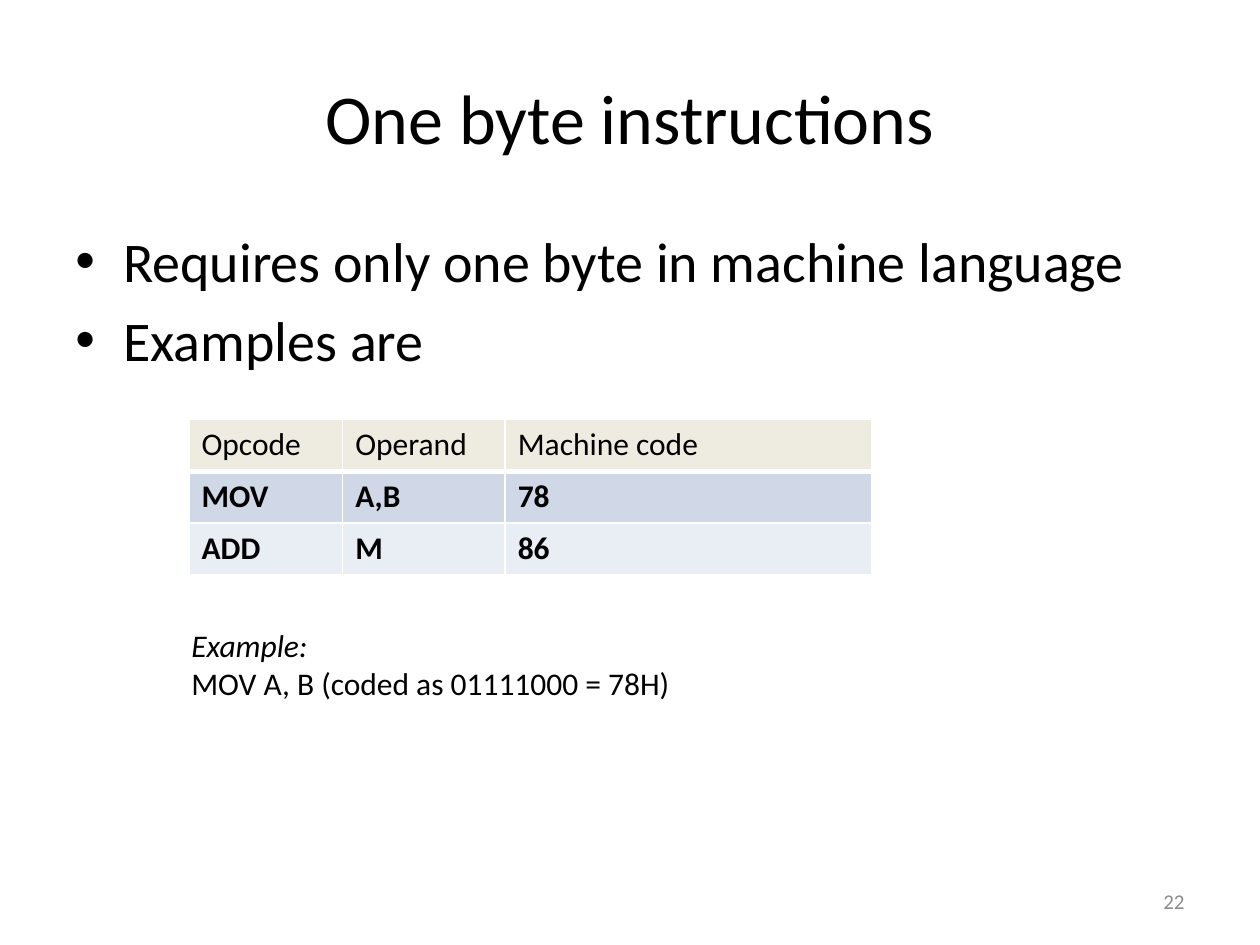
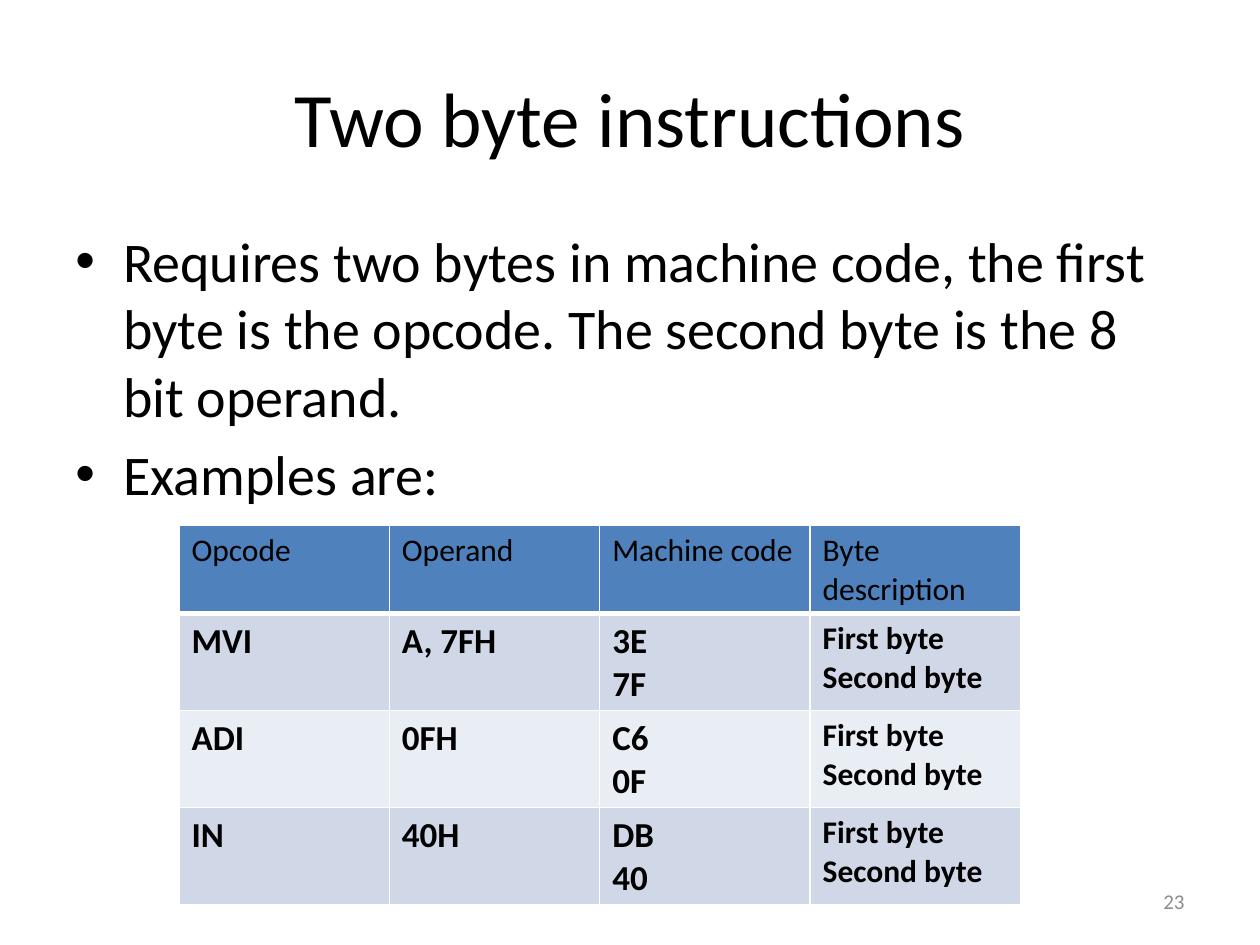
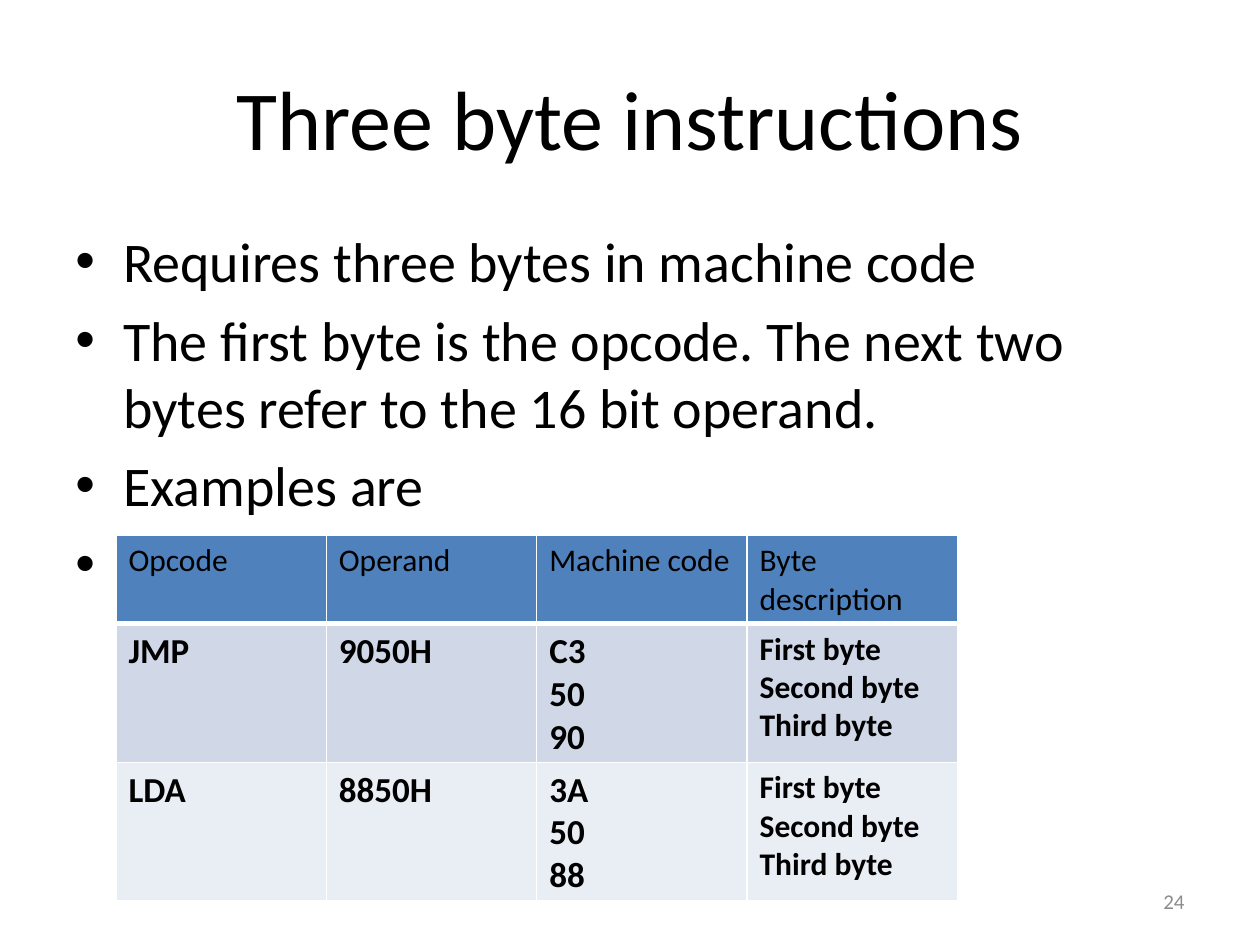
import pptx
import pptx.util
import pptx.dml.color
import pptx.enum.text
import pptx.oxml.ns
from lxml import etree

Inches = pptx.util.Inches
Pt = pptx.util.Pt
Align = pptx.enum.text.PP_ALIGN
Anchor = pptx.enum.text.MSO_ANCHOR

# Content
HEAD = ["Opcode", "Operand", "Machine code", "Byte description"]
BYTES = ["First byte", "Second byte", "Third byte"]

SLIDES = [
    {
        "title": "One byte instructions", "size": 40,
        "points": ["Requires only one byte in machine language", "Examples are"],
        "head": HEAD[:3], "shade": "sand",
        "rows": [["MOV", "A,B", "78"], ["ADD", "M", "86"]],
        "at": (1.5, 3.33), "cols": [1.22, 1.29, 2.91], "tall": (0.41, 0.41),
        "sizes": ["small"] * 3,
        "note": ["Example:", "MOV A, B (coded as 01111000 = 78H)"],
    },
    {
        "title": "Two byte instructions", "size": 44,
        "points": ["Requires two bytes in machine code, the first byte is the opcode. "
                   "The second byte is the 8 bit operand.", "Examples are:"],
        "head": HEAD, "shade": "blue",
        "rows": [["MVI", "A, 7FH", ["3E", "7F"], BYTES[:2]],
                 ["ADI", "0FH", ["C6", "0F"], BYTES[:2]],
                 ["IN", "40H", ["DB", "40"], BYTES[:2]]],
        "at": (1.42, 4.17), "cols": [1.67] * 4, "tall": (0.7, 0.77),
        "sizes": ["code"] * 3 + ["small"],
    },
    {
        "title": "Three byte instructions", "size": 48,
        "points": ["Requires three bytes in machine code",
                   "The first byte is the opcode. The next two bytes refer to "
                   "the 16 bit operand.", "Examples are", " "],
        "head": HEAD, "shade": "blue",
        "rows": [["JMP", "9050H", ["C3", "50", "90"], BYTES],
                 ["LDA", "8850H", ["3A", "50", "88"], BYTES]],
        "at": (0.92, 4.25), "cols": [1.67] * 4, "tall": (0.7, 1.1),
        "sizes": ["code"] * 3 + ["small"],
    },
]
FIRST = 22


# Theme
class Theme:
    font = "Calibri"
    ink, gray, line = "000000", "8C8C8C", "FFFFFF"
    sand, blue = "EEECE1", "4F81BD"
    bands = ["D0D8E8", "E9EDF4"]
    body, code, small, page = 32, 20, 18, 12


TITLE = (0.5, 0.3, 9, 1.25)
BODY = (0.5, 1.75, 9, 4.95)
PAGE = (7.17, 6.95, 2.33, 0.4)
NOTE = (1.42, 4.92, 5, 1.01)


def rgb(code):
    return pptx.dml.color.RGBColor.from_string(code)


def apply(item, values):
    for name, value in values.items():
        setattr(item, name, value)


# Text
def style(para, size, color=Theme.ink, **more):
    apply(para.font, {"name": Theme.font, "size": Pt(size), **more})
    para.font.color.rgb = rgb(color)


def fill(frame, lines):
    """Write one paragraph per line and return the paragraphs."""
    paras = [frame.paragraphs[0]]
    paras += [frame.add_paragraph() for _ in lines[1:]]
    for para, line in zip(paras, lines):
        para.add_run().text = line
    return paras


def add_box(slide, at, lines):
    frame = slide.shapes.add_textbox(*map(Inches, at)).text_frame
    frame.word_wrap = True
    return frame, fill(frame, lines)


def add_title(slide, text, size):
    shape = slide.shapes.title
    apply(shape, dict(zip(("left", "top", "width", "height"), map(Inches, TITLE))))
    apply(shape.text_frame, {"auto_size": pptx.enum.text.MSO_AUTO_SIZE.NONE,
                             "vertical_anchor": Anchor.MIDDLE, "word_wrap": True})
    para = fill(shape.text_frame, [text])[0]
    para.alignment = Align.CENTER
    style(para, size)


def add_points(slide, points):
    _, paras = add_box(slide, BODY, points)
    for index, para in enumerate(paras):
        if index:
            para.space_before = Pt(Theme.body * 0.2)
        props = para._p.get_or_add_pPr()
        props.set("marL", str(Inches(0.38)))
        props.set("indent", str(-Inches(0.38)))
        font = etree.SubElement(props, pptx.oxml.ns.qn("a:buFont"))
        font.set("typeface", "Arial")
        etree.SubElement(props, pptx.oxml.ns.qn("a:buChar")).set("char", "•")
        style(para, Theme.body)


def add_note(slide, lines):
    _, paras = add_box(slide, NOTE, lines)
    for para, slant in zip(paras, (True, False)):
        style(para, Theme.small, italic=slant)


def add_page(slide, number):
    frame, paras = add_box(slide, PAGE, [str(number)])
    frame.vertical_anchor = Anchor.MIDDLE
    paras[0].alignment = Align.RIGHT
    style(paras[0], Theme.page, Theme.gray)


# Table
def add_edges(cell, base):
    props = cell._tc.get_or_add_tcPr()
    for side, width in {"L": 1, "R": 1, "T": 1, "B": base}.items():
        edge = etree.SubElement(props, pptx.oxml.ns.qn("a:ln" + side))
        edge.set("w", str(Pt(width)))
        solid = etree.SubElement(edge, pptx.oxml.ns.qn("a:solidFill"))
        etree.SubElement(solid, pptx.oxml.ns.qn("a:srgbClr")).set("val", Theme.line)


def add_grid(slide, data):
    rows = [data["head"]] + data["rows"]
    top, rest = data["tall"]
    tall = [top] + [rest] * len(data["rows"])
    area = (*data["at"], sum(data["cols"]), sum(tall))
    table = slide.shapes.add_table(len(rows), len(data["cols"]),
                                   *map(Inches, area)).table
    apply(table, {"first_row": False, "horz_banding": False})
    for col, width in zip(table.columns, data["cols"]):
        col.width = Inches(width)
    for r, row in enumerate(rows):
        table.rows[r].height = Inches(tall[r])
        shade = Theme.bands[(r - 1) % 2] if r else getattr(Theme, data["shade"])
        for c, value in enumerate(row):
            cell = table.cell(r, c)
            add_edges(cell, 1 if r else 3)
            cell.fill.solid()
            cell.fill.fore_color.rgb = rgb(shade)
            size = getattr(Theme, data["sizes"][c]) if r else Theme.small
            lines = value if isinstance(value, list) else [value]
            for para in fill(cell.text_frame, lines):
                style(para, size, bold=r > 0)


# Slides
def main():
    deck = pptx.Presentation()
    apply(deck, {"slide_width": Inches(10), "slide_height": Inches(7.5)})
    for number, data in enumerate(SLIDES, FIRST):
        slide = deck.slides.add_slide(deck.slide_layouts.get_by_name("Title Only"))
        add_title(slide, data["title"], data["size"])
        add_points(slide, data["points"])
        add_grid(slide, data)
        add_page(slide, number)
        if "note" in data:
            add_note(slide, data["note"])
    deck.save("out.pptx")


if __name__ == "__main__":
    main()
